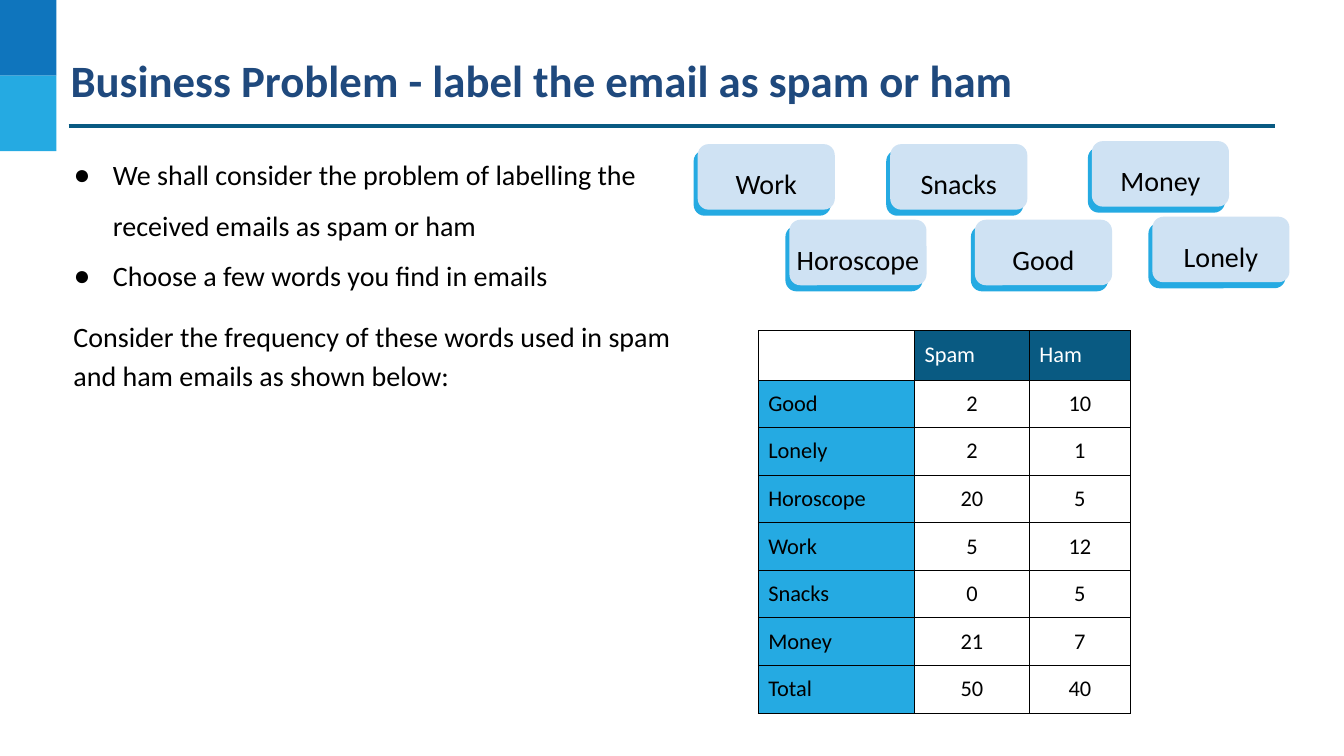
from lxml.etree import SubElement
from pptx import Presentation
from pptx.dml.color import RGBColor
from pptx.enum.shapes import MSO_CONNECTOR, MSO_SHAPE
from pptx.enum.text import MSO_ANCHOR, MSO_AUTO_SIZE, PP_ALIGN
from pptx.oxml import parse_xml
from pptx.oxml.ns import nsdecls, qn
from pptx.util import Inches, Pt

BLUE, SKY, PALE, TEAL, NAVY = "0F75BD", "25AAE2", "CFE2F3", "095A82", "1F497D"
BLACK, WHITE = "000000", "FFFFFF"


def style(p, size, color=BLACK, bold=False, align=PP_ALIGN.LEFT):
    p.font.name, p.font.size, p.font.bold = "Calibri", Pt(size), bold
    p.font.color.rgb = RGBColor.from_string(color)
    p.alignment = align


def block(kind, x, y, w, h, color):
    """Add a plain filled shape, measured in inches."""
    sp = s.shapes.add_shape(kind, Inches(x), Inches(y), Inches(w), Inches(h))
    sp.shadow.inherit = False
    sp.fill.solid()
    sp.fill.fore_color.rgb = RGBColor.from_string(color)
    sp.line.fill.background()
    return sp


prs = Presentation()
prs.slide_width, prs.slide_height = Inches(13.33), Inches(7.5)
s = prs.slides.add_slide(prs.slide_layouts[1])

# Corner blocks and rule
for i, color in enumerate((BLUE, SKY)):
    block(MSO_SHAPE.RECTANGLE, 0, i * 0.75, 0.56, 0.75, color)
rule = s.shapes.add_connector(MSO_CONNECTOR.STRAIGHT, Inches(0.68), Inches(1.25),
                              Inches(12.65), Inches(1.25))
rule.line.color.rgb = RGBColor.from_string(TEAL)
rule.line.width = Pt(2.25)
SubElement(rule.line._get_or_add_ln().getparent(), qn("a:effectLst"))

# Title, bullets and lead-in
title, body = s.placeholders
lead = s.shapes.add_textbox(0, 0, 0, 0)
for sp, box, margin, lines in (
    (title, (0.68, 0.5, 12.29, 0.83), 0.02, ["Business Problem - label the email as spam or ham"]),
    (body, (0.52, 1.3, 6.35, 1.7), 0.1,
     ["We shall consider the problem of labelling the received emails as spam or ham",
      "Choose a few words you find in emails"]),
    (lead, (0.63, 3.02, 6.47, 0.93), 0.1,
     ["Consider the frequency of these words used in spam and ham emails as shown below:"]),
):
    sp.left, sp.top, sp.width, sp.height = map(Inches, box)
    tf = sp.text_frame
    tf.text = "\n".join(lines)
    tf.word_wrap, tf.auto_size, tf.vertical_anchor = True, MSO_AUTO_SIZE.NONE, MSO_ANCHOR.TOP
    tf.margin_left = tf.margin_right = tf.margin_top = tf.margin_bottom = Inches(margin)

style(title.text_frame.paragraphs[0], 32, NAVY, bold=True)
for p in body.text_frame.paragraphs:
    style(p, 20)
    p.line_spacing, p.space_before = 1.5, Pt(0)
    pPr = p._p.get_or_add_pPr()
    pPr.set("marL", str(Inches(0.5)))
    pPr.set("indent", str(Inches(-0.39)))
    bullet = parse_xml(f'<a:buChar {nsdecls("a")} char="●"/>')
    pPr.insert_element_before(bullet, "a:tabLst", "a:defRPr", "a:extLst")
p = lead.text_frame.paragraphs[0]
style(p, 20)
p.line_spacing = 1.15

# Word cards, each a pale face on an offset sky-blue back
CARD_W, CARD_H = 1.36, 0.65
for word, x, y in (("Work", 6.92, 1.43), ("Snacks", 8.83, 1.43), ("Horoscope", 7.83, 2.18),
                   ("Good", 9.67, 2.18), ("Money", 10.83, 1.4), ("Lonely", 11.43, 2.15)):
    for dx, dy, color in ((-0.04, 0.06, SKY), (0, 0, PALE)):
        card = block(MSO_SHAPE.ROUNDED_RECTANGLE, x + dx, y + dy, CARD_W, CARD_H, color)
    tf = card.text_frame
    tf.text = word
    tf.vertical_anchor = MSO_ANCHOR.TOP
    tf.margin_top, tf.margin_bottom = Inches(0.19), 0
    tf.margin_left = tf.margin_right = Inches(0.02)
    style(tf.paragraphs[0], 20, align=PP_ALIGN.CENTER)

# Frequency table
rows = [("", "Spam", "Ham"), ("Good", 2, 10), ("Lonely", 2, 1), ("Horoscope", 20, 5),
        ("Work", 5, 12), ("Snacks", 0, 5), ("Money", 21, 7), ("Total", 50, 40)]
widths = (1.55, 1.14, 1)
frame = s.shapes.add_table(len(rows), len(widths), Inches(7.52), Inches(3.28),
                           Inches(sum(widths)), Inches(0.46 * len(rows)))
table = frame.table
table.first_row = table.horz_banding = False
for col, width in zip(table.columns, widths):
    col.width = Inches(width)
table.rows[0].height = Inches(0.49)
for r, row in enumerate(rows):
    for c, value in enumerate(row):
        cell = table.cell(r, c)
        cell.text = str(value)
        cell.margin_left = cell.margin_right = cell.margin_top = cell.margin_bottom = Inches(0.1)
        style(cell.text_frame.paragraphs[0], 16, WHITE if r == 0 else BLACK,
              align=PP_ALIGN.CENTER if r and c else PP_ALIGN.LEFT)
        tcPr = cell._tc.get_or_add_tcPr()
        for edge in ("lnL", "lnR", "lnT", "lnB"):
            tcPr.append(parse_xml(
                f'<a:{edge} {nsdecls("a")} w="{Pt(0.75)}"><a:solidFill>'
                f'<a:srgbClr val="{BLACK}"/></a:solidFill></a:{edge}>'))
        if r and c or not (r or c):
            cell.fill.background()
        else:
            cell.fill.solid()
            cell.fill.fore_color.rgb = RGBColor.from_string(SKY if r else TEAL)

prs.save("out.pptx")
